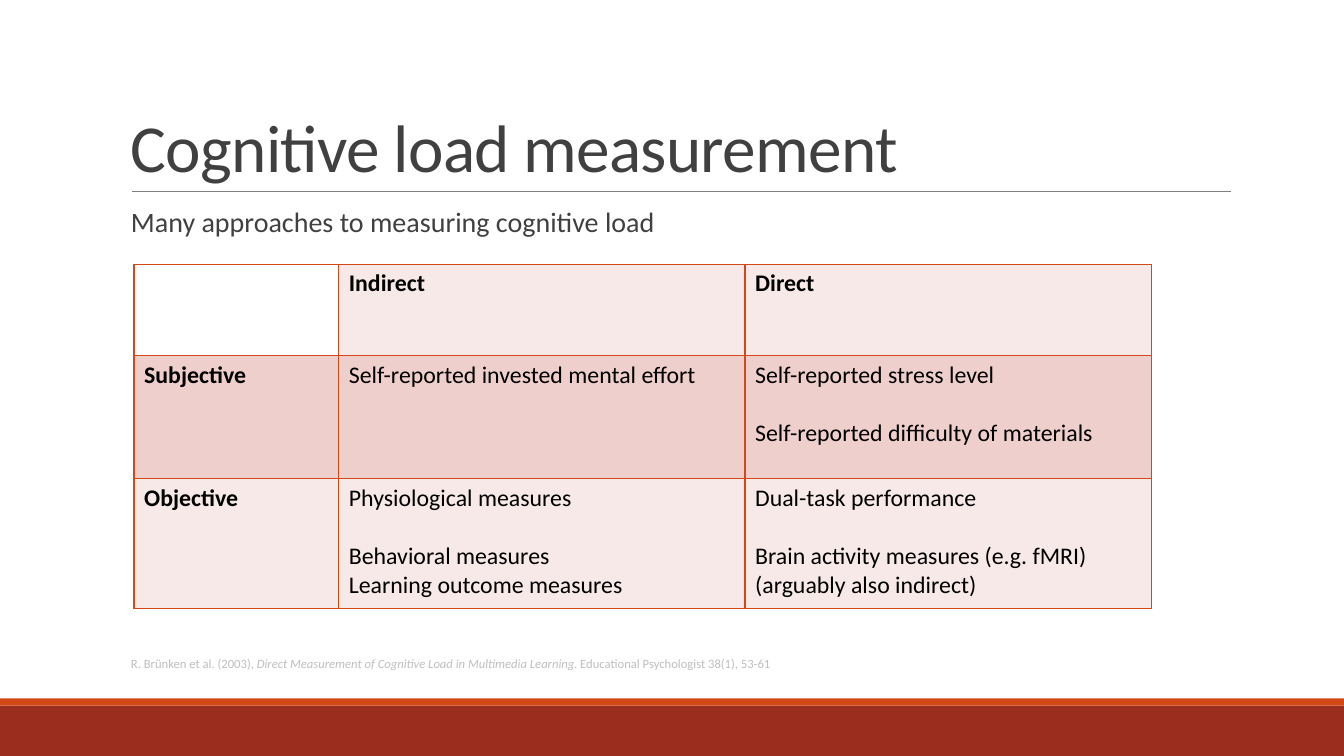
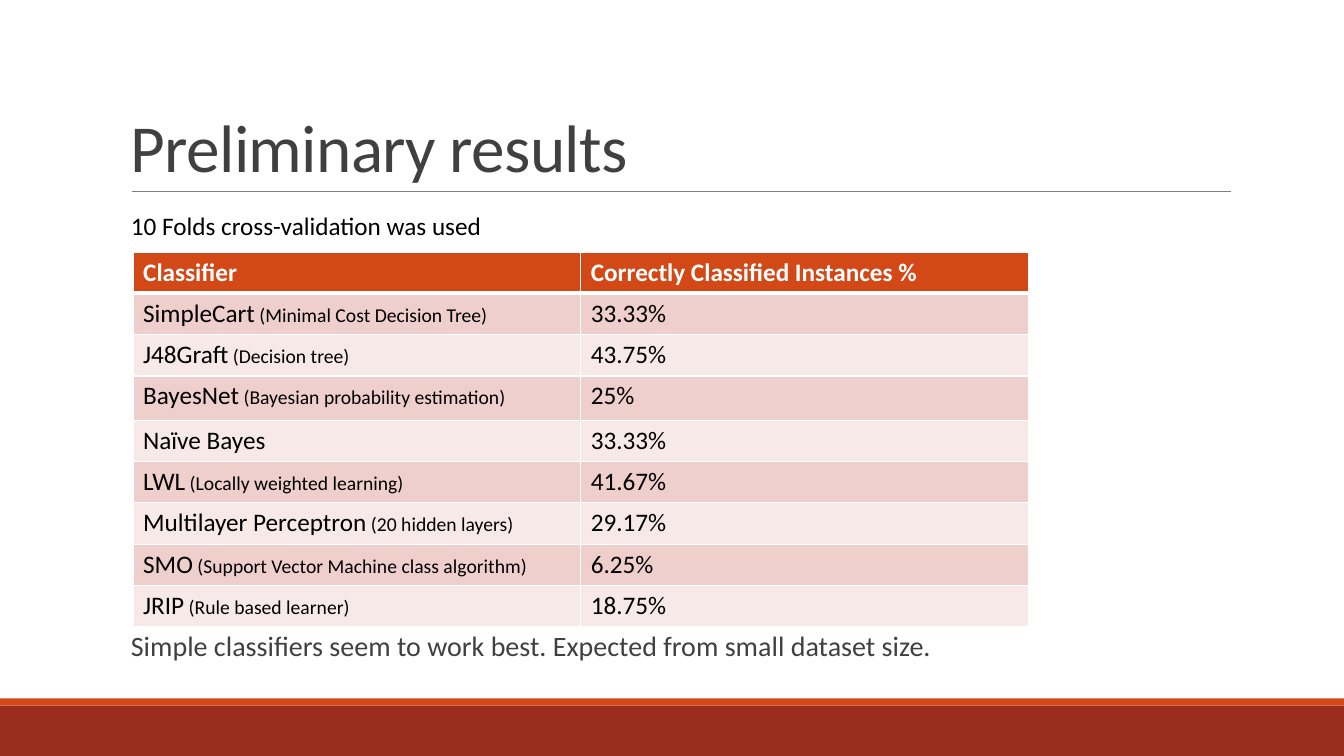
from lxml import etree
from pptx import Presentation
from pptx.dml.color import RGBColor
from pptx.enum.shapes import MSO_CONNECTOR, MSO_SHAPE
from pptx.enum.text import MSO_ANCHOR
from pptx.oxml.ns import qn
from pptx.util import Inches, Pt

RECTANGLE = MSO_SHAPE.RECTANGLE
STRAIGHT = MSO_CONNECTOR.STRAIGHT
BOTTOM = MSO_ANCHOR.BOTTOM
TOP = MSO_ANCHOR.TOP

FONT = "Calibri"
BRICK = RGBColor(0x9B, 0x2D, 0x1F)
ORANGE = RGBColor(0xD3, 0x48, 0x17)
ROSE = RGBColor(0xEF, 0xCF, 0xCC)
BLUSH = RGBColor(0xF7, 0xE9, 0xE8)
WHITE = RGBColor(0xFF, 0xFF, 0xFF)
BLACK = RGBColor(0x00, 0x00, 0x00)
CHARCOAL = RGBColor(0x40, 0x40, 0x40)
GRAY = RGBColor(0x80, 0x80, 0x80)
SILVER = RGBColor(0xBF, 0xBF, 0xBF)


def add_text(page, left, top, width, height, spans, size, color, spacing=0.9, anchor=TOP):
    box = page.shapes.add_textbox(Inches(left), Inches(top), Inches(width), Inches(height))
    frame = box.text_frame
    frame.word_wrap = True
    frame.vertical_anchor = anchor
    para = frame.paragraphs[0]
    para.line_spacing = spacing
    for text in spans:
        span = para.add_run()
        span.text = text
        span.font.name = FONT
        span.font.size = Pt(size)
        span.font.color.rgb = color
    return para


def add_grid(page, left, top, widths, heights, rows, size, border, head_rule):
    frame = page.shapes.add_table(len(rows), len(widths), Inches(left), Inches(top),
                                  Inches(sum(widths)), Inches(sum(heights)))
    table = frame.table
    table.first_row = False
    table.horz_banding = False
    for column, width in zip(table.columns, widths):
        column.width = Inches(width)
    for number, (row, height, texts) in enumerate(zip(table.rows, heights, rows)):
        row.height = Inches(height)
        rules = {"lnL": 1, "lnR": 1, "lnT": head_rule if number == 1 else 1,
                 "lnB": head_rule if number == 0 else 1}
        for cell, text in zip(row.cells, texts):
            properties = cell._tc.get_or_add_tcPr()
            for side, points in rules.items():
                line = etree.SubElement(properties, qn("a:" + side), w=str(Pt(points)))
                paint = etree.SubElement(line, qn("a:solidFill"))
                etree.SubElement(paint, qn("a:srgbClr"), val=str(border))
            cell.fill.solid()
            cell.fill.fore_color.rgb = ROSE if number % 2 else BLUSH
            cell.text_frame.text = text
            for para in cell.text_frame.paragraphs:
                para.font.size = Pt(size)
                for span in para.runs:
                    span.font.name = FONT
                    span.font.size = Pt(size)
                    span.font.color.rgb = BLACK
                    span.font.bold = number == 0
    return table


deck = Presentation()
deck.slide_width = Inches(13.33)
deck.slide_height = Inches(7.5)

pages = []
for title in ("Cognitive load measurement", "Preliminary results"):
    page = deck.slides.add_slide(deck.slide_layouts[6])
    for top, height, color in ((7, 0.5, BRICK), (6.93, 0.07, ORANGE)):
        band = page.shapes.add_shape(RECTANGLE, 0, Inches(top), deck.slide_width, Inches(height))
        band.shadow.inherit = False
        band.fill.solid()
        band.fill.fore_color.rgb = color
        band.line.fill.background()
    rule = page.shapes.add_connector(STRAIGHT, Inches(1.31), Inches(1.9), Inches(12.21), Inches(1.9))
    rule.line.color.rgb = GRAY
    rule.line.width = Pt(0.5)
    etree.SubElement(rule._element.spPr, qn("a:effectLst"))
    heading = add_text(page, 1.2, 0.31, 11, 1.59, [title], 48, CHARCOAL, 0.85, BOTTOM)
    heading.runs[0]._r.get_or_add_rPr().set("spc", "-50")
    pages.append(page)

measurement, results = pages

add_text(measurement, 1.2, 2.02, 11.39, 0.45, ["Many approaches to measuring cognitive load"], 20, CHARCOAL)
measures = [
    ("", "Indirect", "Direct"),
    ("Subjective", "Self-reported invested mental effort",
     "Self-reported stress level\nSelf-reported difficulty of materials"),
    ("Objective", "Physiological measures\nBehavioral measures\nLearning outcome measures",
     "Dual-task performance\nBrain activity measures (e.g. fMRI)\n(arguably also indirect)"),
]
table = add_grid(measurement, 1.33, 2.62, [2.03, 4.03, 4.03], [0.91, 1.22, 1.29],
                 measures, 17, ORANGE, 1)
table.cell(0, 0).fill.fore_color.rgb = WHITE
for number in (1, 2):
    table.cell(number, 0).text_frame.paragraphs[0].runs[0].font.bold = True
for cell in table.iter_cells():
    for para in cell.text_frame.paragraphs[1:2]:
        para.space_before = Pt(20.75)
source = add_text(measurement, 1.2, 6.47, 11.39, 0.25,
                  ["R. Brünken et al. (2003), ",
                   "Direct Measurement of Cognitive Load in Multimedia Learning",
                   ". Educational Psychologist 38(1), 53-61"], 9, SILVER)
source.runs[1].font.italic = True

add_text(results, 1.2, 2.04, 8.38, 0.4, ["10 Folds cross-validation was used"], 18, BLACK, 1)
classifiers = [
    ("SimpleCart", " (Minimal Cost Decision Tree)", "33.33%"),
    ("J48Graft", " (Decision tree)", "43.75%"),
    ("BayesNet", " (Bayesian probability estimation)", "25%"),
    ("Naïve Bayes", "", "33.33%"),
    ("LWL", " (Locally weighted learning)", "41.67%"),
    ("Multilayer Perceptron", " (20 hidden layers)", "29.17%"),
    ("SMO", " (Support Vector Machine class algorithm)", "6.25%"),
    ("JRIP", " (Rule based learner)", "18.75%"),
]
scores = [("Classifier", "Correctly Classified Instances %")]
scores += [(name, score) for name, note, score in classifiers]
table = add_grid(results, 1.32, 2.5, [4.44, 4.44], [0.41] * 3 + [0.44] + [0.41] * 5,
                 scores, 18, WHITE, 3)
for cell in table.rows[0].cells:
    cell.fill.fore_color.rgb = ORANGE
    cell.text_frame.paragraphs[0].runs[0].font.color.rgb = WHITE
for number, (name, note, score) in enumerate(classifiers, 1):
    if note:
        span = table.cell(number, 0).text_frame.paragraphs[0].add_run()
        span.text = note
        span.font.name = FONT
        span.font.size = Pt(14)
        span.font.color.rgb = BLACK
add_text(results, 1.2, 6.22, 11, 0.53,
         ["Simple classifiers seem to work best. Expected from small dataset size."], 20, CHARCOAL)

deck.save("out.pptx")
